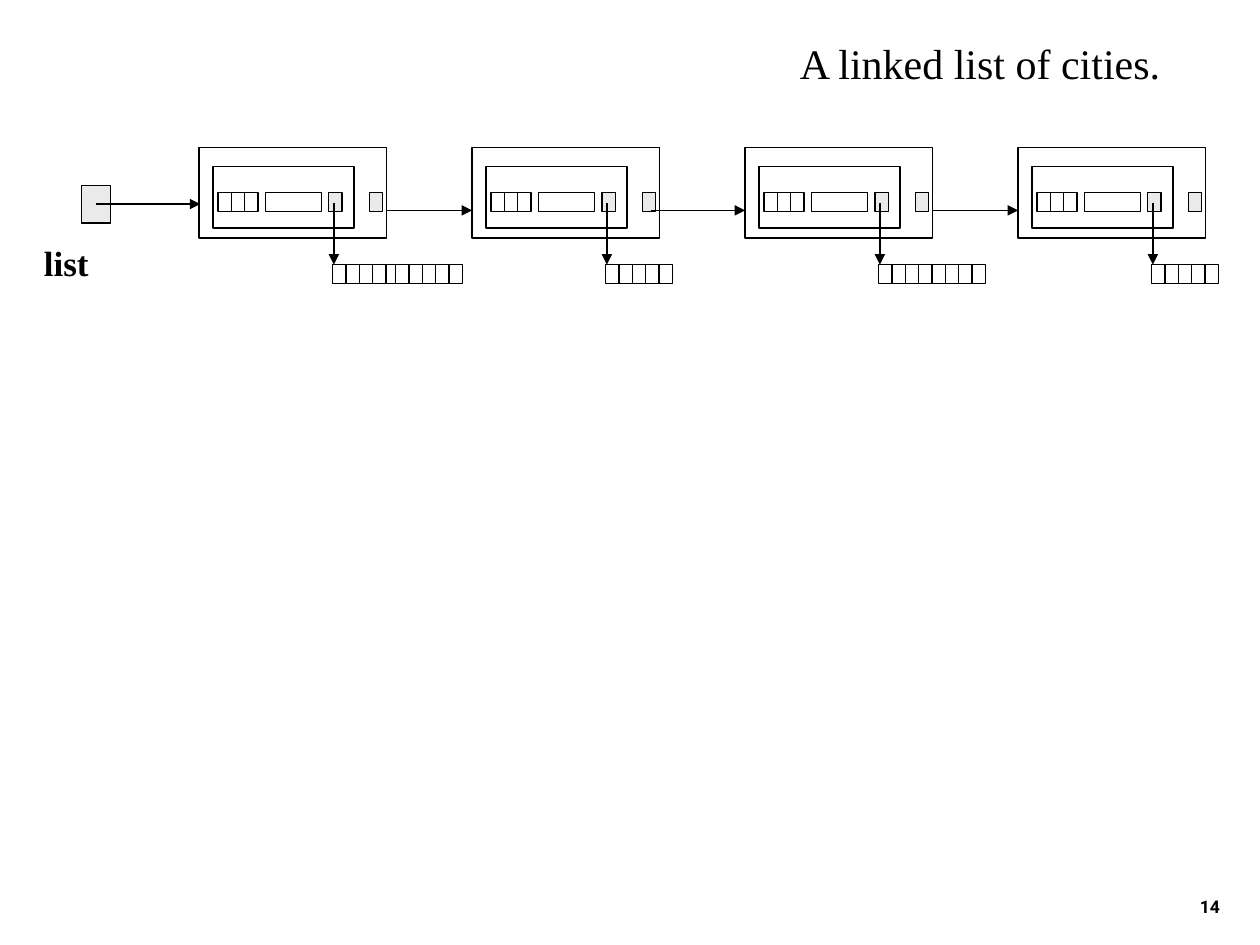
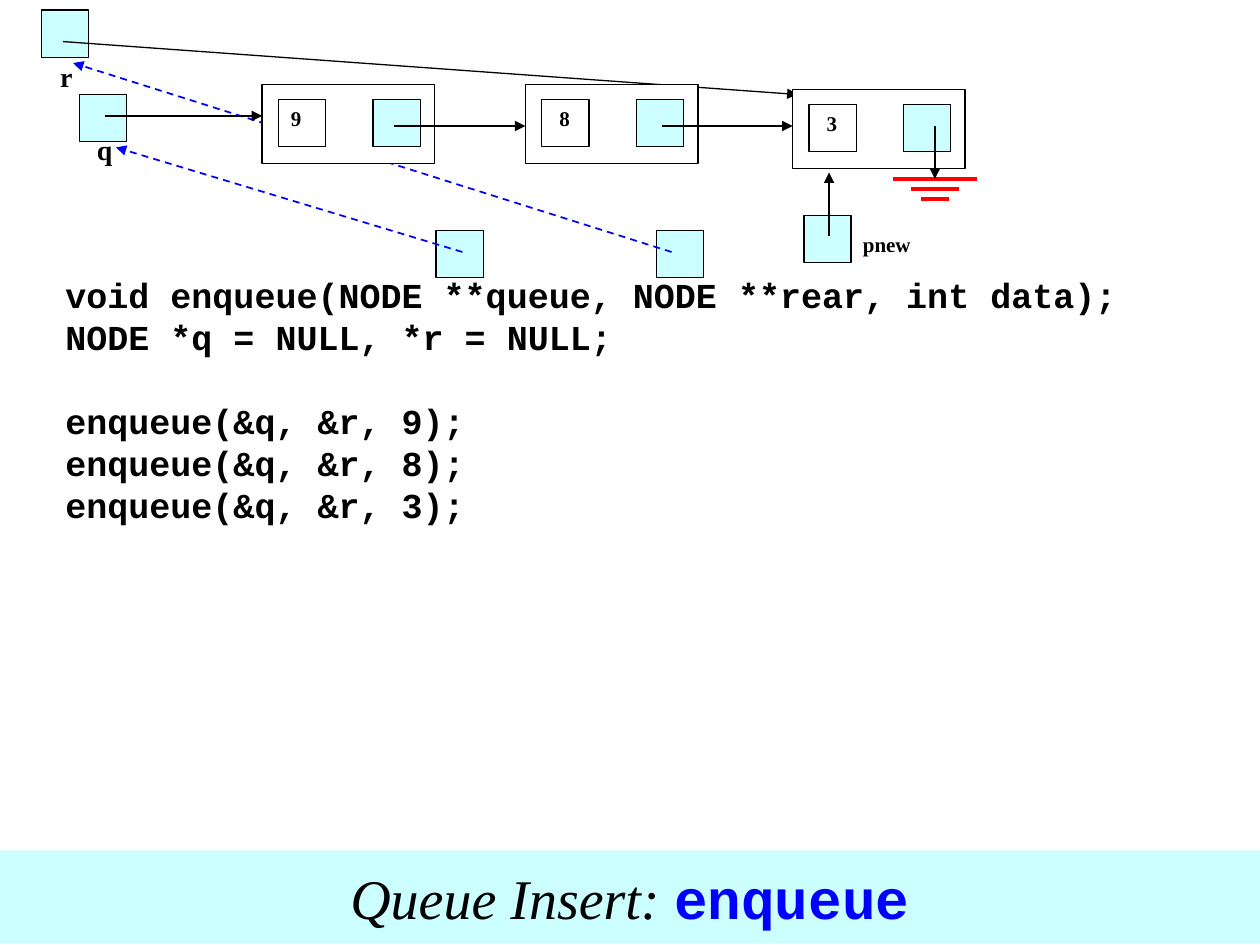
"""Build two slides on linked structures: a list of cities and a queue insert."""
from lxml.etree import SubElement
from pptx import Presentation
from pptx.dml.color import RGBColor
from pptx.enum.dml import MSO_LINE
from pptx.enum.shapes import MSO_CONNECTOR, MSO_SHAPE
from pptx.enum.text import MSO_ANCHOR, PP_ALIGN
from pptx.oxml.ns import qn
from pptx.util import Inches, Pt

COLORS = {"ink": "000000", "paper": "FFFFFF", "pointer": "EAEAEA",
          "aqua": "CCFFFF", "blue": "0000FF", "red": "FF0000"}
SERIF, MONO, SANS = "Times New Roman", "Courier New", "Roboto"
WIDTH, HEIGHT = 10, 7.5

CITY_TITLE = "A linked list of cities."
PAGE_NUMBER = "14"
NAME_BLOCKS = [(5, 5), (5,), (8,), (5,)]
CITY_LEFT, CITY_TOP, CITY_STEP = 1.58, 1.17, 6.5 / 3
CELL_WIDTH, CELL_HEIGHT, BLOCK_STEP = 0.53 / 5, 0.15, 0.5
RECORD_PARTS = [
    (0, 0, 1.49, 0.72, "paper"),
    (0.11, 0.15, 1.12, 0.49, "paper"),
    *[(0.15 + i * CELL_WIDTH, 0.36, CELL_WIDTH, CELL_HEIGHT, "paper") for i in range(3)],
    (0.53, 0.36, 0.44, CELL_HEIGHT, "paper"),
    (1.03, 0.36, CELL_WIDTH, CELL_HEIGHT, "pointer"),
    (1.35, 0.36, CELL_WIDTH, CELL_HEIGHT, "pointer"),
]

SQUARE = 0.375
QUEUE_NODES = [("9", 2.08, 0.67), (" 8", 4.17, 0.67), (" 3", 6.29, 0.71)]
NODE_LINKS = [(3.13, 4.17), (5.25, 6.29)]
PARAMETERS = [((3.46, 1.83), (3.67, 2), (0.92, 1.17)),
              ((5.21, 1.83), (5.33, 2), (0.58, 0.5))]
GROUND_HALF_WIDTHS = [0.33, 0.19, 0.11]
CODE = ["void enqueue(NODE **queue, NODE **rear, int data);",
        "NODE *q = NULL, *r = NULL;",
        *[f"enqueue(&q, &r, {value});" for value in (9, 8, 3)]]
BANNER = [("Queue Insert: ", SERIF, "ink", False, True),
          ("enqueue", MONO, "blue", True, False)]


def color(name):
    return RGBColor.from_string(COLORS[name])


def style(font, face, size, bold=False, ink="ink"):
    font.name, font.size, font.bold = face, Pt(size), bold
    font.color.rgb = color(ink)


def write(shape, lines, face, size, bold=True, align=PP_ALIGN.LEFT,
          anchor=MSO_ANCHOR.TOP, wrap=True):
    frame = shape.text_frame
    frame.word_wrap, frame.vertical_anchor = wrap, anchor
    frame.text = "\n".join(lines)
    for paragraph in frame.paragraphs:
        paragraph.alignment = align
        style(paragraph.font, face, size, bold)
    return frame


def box(slide, left, top, width, height, fill="paper", outlined=True):
    shape = slide.shapes.add_shape(MSO_SHAPE.RECTANGLE, *map(Inches, (left, top, width, height)))
    shape.shadow.inherit = False
    shape.fill.solid()
    shape.fill.fore_color.rgb = color(fill)
    if outlined:
        shape.line.color.rgb = color("ink")
        shape.line.width = Pt(0.75)
    else:
        shape.line.fill.background()
    return shape


def label(slide, text, left, top, width, height, size):
    write(box(slide, left, top, width, height, outlined=False), [text], SERIF, size)


def textbox(slide, left, top, width, height, lines, face, size, **options):
    shape = slide.shapes.add_textbox(*map(Inches, (left, top, width, height)))
    return write(shape, lines, face, size, **options)


def line(slide, start, end, ink="ink", weight=0.75, dashed=False, arrow=True):
    link = slide.shapes.add_connector(MSO_CONNECTOR.STRAIGHT, *map(Inches, (*start, *end)))
    link.line.color.rgb = color(ink)
    link.line.width = Pt(weight)
    if dashed:
        link.line.dash_style = MSO_LINE.DASH
    properties = link._element.spPr
    if arrow:
        SubElement(properties.find(qn("a:ln")), qn("a:tailEnd"), type="triangle")
    SubElement(properties, qn("a:effectLst"))


def city(slide, index):
    left = CITY_LEFT + index * CITY_STEP
    for dx, dy, width, height, fill in RECORD_PARTS:
        box(slide, left + dx, CITY_TOP + dy, width, height, fill)
    line(slide, (left + 1.07, 1.61), (left + 1.07, 2.1))
    for block, count in enumerate(NAME_BLOCKS[index]):
        for i in range(count):
            box(slide, left + 1.06 + block * BLOCK_STEP + i * CELL_WIDTH, 2.1,
                CELL_WIDTH, CELL_HEIGHT)


def cities_slide(slide):
    textbox(slide, 7.7, 6.83, 2.08, 0.5, [PAGE_NUMBER], SANS, 10,
            align=PP_ALIGN.RIGHT, anchor=MSO_ANCHOR.BOTTOM)
    label(slide, "list", 0.25, 1.87, 0.93, 0.8, 20)
    box(slide, 0.65, 1.47, 0.23, 0.3, "pointer")
    line(slide, (0.76, 1.62), (1.59, 1.62))
    for index in (1, 3):
        city(slide, index)
    for index in range(1, len(NAME_BLOCKS)):
        target = CITY_LEFT + index * CITY_STEP
        line(slide, (target - 0.75, 1.67), (target, 1.67))
    for index in (0, 2):
        city(slide, index)
    textbox(slide, 6.25, 0.25, 3.08, 0.5, [CITY_TITLE], SERIF, 24, bold=False, wrap=False)


def pointer(slide, left, top):
    box(slide, left, top, SQUARE, SQUARE, "aqua")


def banner(slide):
    strip = box(slide, 0, 0.9 * HEIGHT, WIDTH, 0.74, "aqua", outlined=False)
    frame = strip.text_frame
    frame.word_wrap, frame.vertical_anchor = False, MSO_ANCHOR.MIDDLE
    paragraph = frame.paragraphs[0]
    paragraph.alignment = PP_ALIGN.CENTER
    for text, face, ink, bold, italic in BANNER:
        run = paragraph.add_run()
        run.text = text
        style(run.font, face, 32, bold, ink)
        run.font.italic = italic


def queue_slide(slide):
    code = textbox(slide, 0.42, 2.12, 9.08, 2.1, CODE, MONO, 20)
    for paragraph in code.paragraphs:
        paragraph.line_spacing = Pt(24)
    code.paragraphs[2].space_before = Pt(24)

    label(slide, "r", 0.38, 0.42, 0.33, 0.38, 16)
    pointer(slide, 0.33, 0.08)
    for corner, start, end in PARAMETERS:
        pointer(slide, *corner)
        line(slide, start, end, "blue", 1, dashed=True)
    banner(slide)
    line(slide, (0.5, 0.33), (6.33, 0.75))

    label(slide, "q", 0.67, 1, 0.25, 0.38, 16)
    pointer(slide, 0.63, 0.75)
    line(slide, (0.83, 0.92), (2.08, 0.92))
    for value, left, top in QUEUE_NODES:
        box(slide, left, top, 1.37, 0.63)
        pointer(slide, left + 0.88, top + 0.12)
        write(box(slide, left + 0.13, top + 0.12, SQUARE, SQUARE), [value], SERIF, 12)
    for start, end in NODE_LINKS:
        line(slide, (start, 1), (end, 1))

    label(slide, "pnew", 6.75, 1.79, 0.75, 0.38, 12)
    pointer(slide, 6.38, 1.71)
    line(slide, (6.58, 1.87), (6.58, 1.37))
    for row, half in enumerate(GROUND_HALF_WIDTHS):
        y = 1.42 + row * 0.08
        line(slide, (7.42 - half, y), (7.42 + half, y), "red", 2, arrow=False)
    line(slide, (7.42, 1), (7.42, 1.42))


def main():
    deck = Presentation()
    deck.slide_width, deck.slide_height = Inches(WIDTH), Inches(HEIGHT)
    for build in (cities_slide, queue_slide):
        build(deck.slides.add_slide(deck.slide_layouts[6]))
    deck.save("out.pptx")


if __name__ == "__main__":
    main()
